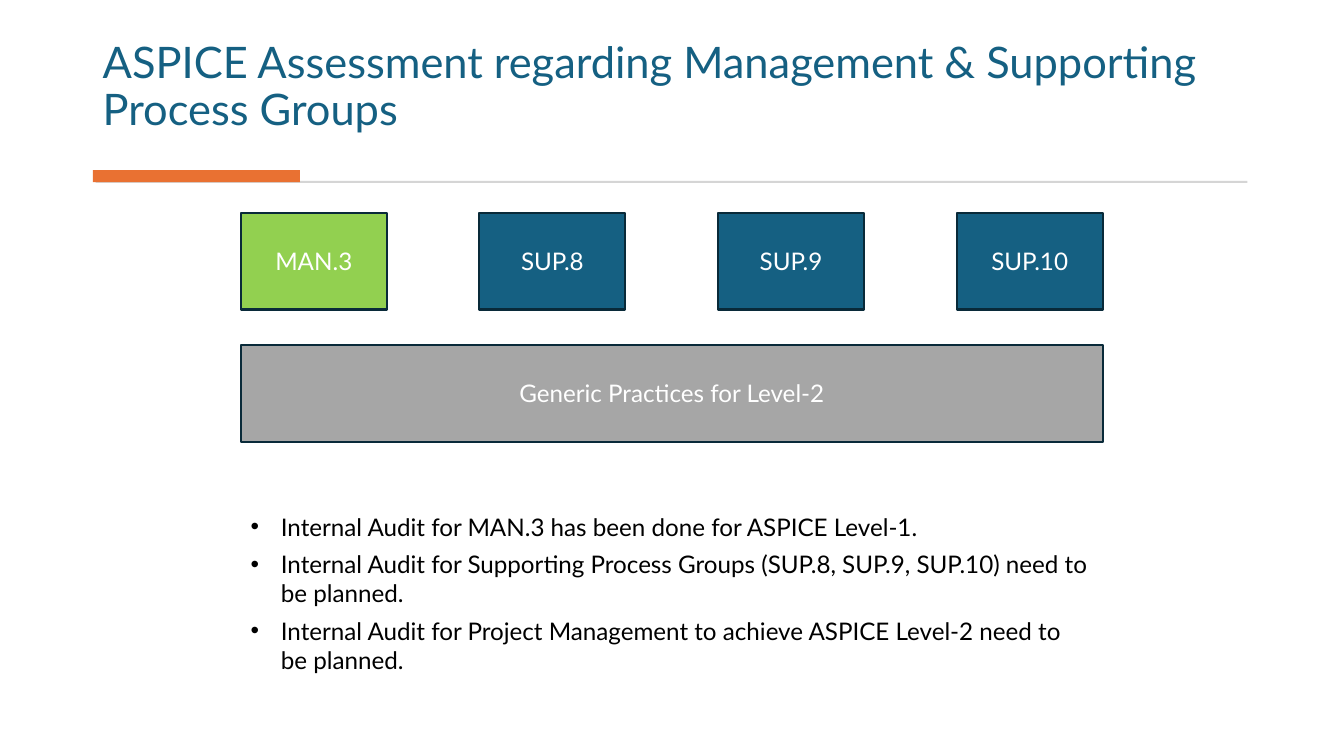
from lxml import etree
from pptx import Presentation
from pptx.dml.color import RGBColor
from pptx.enum.shapes import MSO_SHAPE
from pptx.enum.text import MSO_ANCHOR, PP_ALIGN
from pptx.oxml.ns import qn
from pptx.util import Cm, Pt

RECTANGLE = MSO_SHAPE.RECTANGLE
TOP, MIDDLE, BOTTOM = MSO_ANCHOR.TOP, MSO_ANCHOR.MIDDLE, MSO_ANCHOR.BOTTOM
CENTER = PP_ALIGN.CENTER

BLUE = RGBColor(0x15, 0x60, 0x82)
NAVY = RGBColor(0x09, 0x2A, 0x39)
GREEN = RGBColor(0x92, 0xD0, 0x50)
GRAY = RGBColor(0xA6, 0xA6, 0xA6)
LIGHT_GRAY = RGBColor(0xD5, 0xD5, 0xD5)
ORANGE = RGBColor(0xE9, 0x71, 0x32)
WHITE = RGBColor(0xFF, 0xFF, 0xFF)
BLACK = RGBColor(0x00, 0x00, 0x00)

CONTENT_LEFT, CONTENT_WIDTH = 6.07, 21.72
BOX_WIDTH, BOX_HEIGHT = 3.68, 2.44
PROCESS_TOP = 5.36
PROCESSES = [("MAN.3", GREEN), ("SUP.8", BLUE), ("SUP.9", BLUE), ("SUP.10", BLUE)]
FINDINGS = [
    "Internal Audit for MAN.3 has been done for ASPICE Level-1.",
    "Internal Audit for Supporting Process Groups (SUP.8, SUP.9, SUP.10) "
    "need to be planned.",
    "Internal Audit for Project Management to achieve ASPICE Level-2 "
    "need to be planned.",
]


class SlideBuilder:
    font_name = "Lato"
    title_size = Pt(31)
    body_size = Pt(17.3)
    space_after = Pt(6)
    bullet_indent = Cm(0.76)

    def __init__(self, slide):
        self.slide = slide

    def style(self, paragraph, size, color):
        for span in paragraph.runs:
            span.font.name = self.font_name
            span.font.size = size
            span.font.color.rgb = color

    def text_box(self, left, top, width, height, anchor):
        box = self.slide.shapes.add_textbox(Cm(left), Cm(top), Cm(width), Cm(height))
        box.text_frame.word_wrap = True
        box.text_frame.vertical_anchor = anchor
        return box.text_frame

    def title(self, text, left, top, width, height):
        frame = self.text_box(left, top, width, height, BOTTOM)
        frame.text = text
        para = frame.paragraphs[0]
        para.line_spacing = 0.9
        self.style(para, self.title_size, BLUE)

    def bar(self, left, top, width, height, fill):
        """Add a plain filled rectangle without outline."""
        shape = self.slide.shapes.add_shape(
            RECTANGLE, Cm(left), Cm(top), Cm(width), Cm(height))
        shape.shadow.inherit = False
        shape.fill.solid()
        shape.fill.fore_color.rgb = fill
        shape.line.fill.background()
        return shape

    def labelled_box(self, text, left, top, width, height, fill):
        box = self.bar(left, top, width, height, fill)
        box.line.color.rgb = NAVY
        box.line.width = Pt(1.5)
        frame = box.text_frame
        frame.word_wrap = True
        frame.vertical_anchor = MIDDLE
        frame.text = text
        para = frame.paragraphs[0]
        para.alignment = CENTER
        para.space_after = self.space_after
        self.style(para, self.body_size, WHITE)

    def bullet_list(self, items, left, top, width, height):
        frame = self.text_box(left, top, width, height, TOP)
        frame.text = "\n".join(items)
        for para in frame.paragraphs:
            para.space_after = self.space_after
            properties = para._p.get_or_add_pPr()
            properties.set("marL", str(self.bullet_indent))
            properties.set("indent", str(-self.bullet_indent))
            etree.SubElement(properties, qn("a:buFont"), typeface="Arial")
            etree.SubElement(properties, qn("a:buChar"), char="•")
            self.style(para, self.body_size, BLACK)


def main():
    deck = Presentation()
    deck.slide_width, deck.slide_height = Cm(33.87), Cm(19.05)
    page = SlideBuilder(deck.slides.add_slide(deck.slide_layouts[6]))

    page.title("ASPICE Assessment regarding Management & Supporting Process Groups",
               2.34, 0.71, 29.18, 2.82)
    page.bar(2.41, 4.56, 29.03, 0.05, LIGHT_GRAY)
    page.bar(2.34, 4.29, 5.22, 0.3, ORANGE)

    pitch = (CONTENT_WIDTH - BOX_WIDTH) / (len(PROCESSES) - 1)
    for index, (name, color) in enumerate(PROCESSES):
        page.labelled_box(name, CONTENT_LEFT + index * pitch, PROCESS_TOP,
                          BOX_WIDTH, BOX_HEIGHT, color)
    page.labelled_box("Generic Practices for Level-2", CONTENT_LEFT, 8.69,
                      CONTENT_WIDTH, BOX_HEIGHT, GRAY)
    page.bullet_list(FINDINGS, CONTENT_LEFT, 12.78, CONTENT_WIDTH, 5.36)

    deck.save("out.pptx")


if __name__ == "__main__":
    main()
